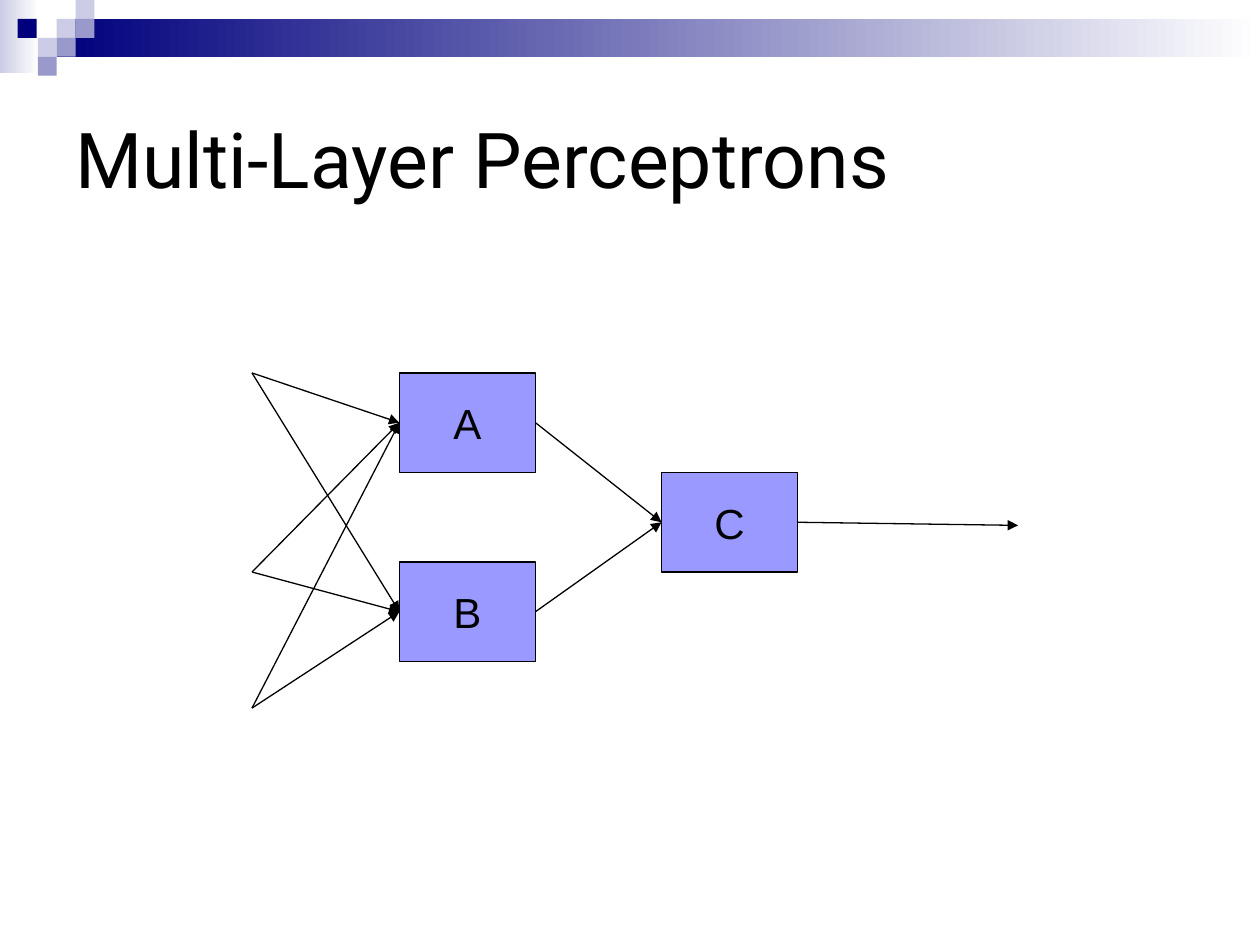
"""Build the Multi-Layer Perceptrons slide with its network diagram."""
import lxml.etree
import pptx
import pptx.dml.color
import pptx.enum.shapes
import pptx.enum.text
import pptx.oxml.ns
import pptx.util

Inches = pptx.util.Inches
LEFT_SITE, RIGHT_SITE = 1, 3


def color(value):
    return pptx.dml.color.RGBColor.from_string(value)


def add_rectangle(left, top, width, height, *fills):
    shape = slide.shapes.add_shape(
        pptx.enum.shapes.MSO_SHAPE.RECTANGLE,
        Inches(left), Inches(top), Inches(width), Inches(height))
    shape.shadow.inherit = False
    shape.line.fill.background()
    if len(fills) == 1:
        shape.fill.solid()
        shape.fill.fore_color.rgb = color(fills[0])
    else:
        shape.fill.gradient()
        shape.fill.gradient_angle = 0
        for stop, value in zip(shape.fill.gradient_stops, fills):
            stop.color.rgb = color(value)
    return shape


presentation = pptx.Presentation()
presentation.slide_width = Inches(10)
presentation.slide_height = Inches(7.5)
slide = presentation.slides.add_slide(presentation.slide_layouts[6])

add_rectangle(0, 0, 0.31, 0.58, "CCCCE6", "FFFFFF")
add_rectangle(0.45, 0.15, 9.55, 0.3, "00007D", "FFFFFF")
squares = [
    (0.45, 0.15, "CCCCE6"), (0.6, 0, "CCCCE6"), (0.6, 0.15, "9999CC"),
    (0.3, 0.3, "CCCCE6"), (0.14, 0.15, "00007D"), (0.45, 0.3, "9999CC"),
    (0.3, 0.45, "9999CC"),
]
for left, top, fill in squares:
    add_rectangle(left, top, 0.15, 0.15, fill)

title = slide.shapes.add_textbox(Inches(0.5), Inches(0.5), Inches(9), Inches(1.5))
title.text_frame.word_wrap = True
title.text_frame.vertical_anchor = pptx.enum.text.MSO_ANCHOR.MIDDLE
title.text_frame.text = "Multi-Layer Perceptrons"
title_font = title.text_frame.paragraphs[0].runs[0].font
title_font.name = "Roboto"
title_font.size = pptx.util.Pt(44)
title_font.color.rgb = color("000000")

neurons = {}
for name, left, top in [("A", 3.17, 2.96), ("B", 3.17, 4.46), ("C", 5.25, 3.75)]:
    neuron = add_rectangle(left, top, 1.08, 0.79, "9999FF")
    neuron.line.color.rgb = color("000000")
    neuron.line.width = pptx.util.Pt(0.75)
    neuron.text_frame.vertical_anchor = pptx.enum.text.MSO_ANCHOR.MIDDLE
    neuron.text_frame.text = name
    paragraph = neuron.text_frame.paragraphs[0]
    paragraph.alignment = pptx.enum.text.PP_ALIGN.CENTER
    font = paragraph.runs[0].font
    font.name = "Arial"
    font.size = pptx.util.Pt(24)
    font.color.rgb = color("000000")
    neurons[name] = neuron

output_point, input_tops = (8.08, 4.17), (2.96, 4.54, 5.62)
links = [("C", output_point), ("A", "C"), ("B", "C")]
links += [((2, top), name) for top in input_tops for name in "AB"]
for source, target in links:
    start = source if source not in neurons else (0, 0)
    end = target if target not in neurons else (0, 0)
    connector = slide.shapes.add_connector(
        pptx.enum.shapes.MSO_CONNECTOR.STRAIGHT, *map(Inches, start + end))
    if source in neurons:
        connector.begin_connect(neurons[source], RIGHT_SITE)
    if target in neurons:
        connector.end_connect(neurons[target], LEFT_SITE)
    connector.line.color.rgb = color("000000")
    connector.line.width = pptx.util.Pt(0.75)
    line = connector.line._get_or_add_ln()
    lxml.etree.SubElement(line, pptx.oxml.ns.qn("a:tailEnd"), type="triangle")
    properties = connector._element.spPr
    lxml.etree.SubElement(properties, pptx.oxml.ns.qn("a:effectLst"))

presentation.save("out.pptx")
